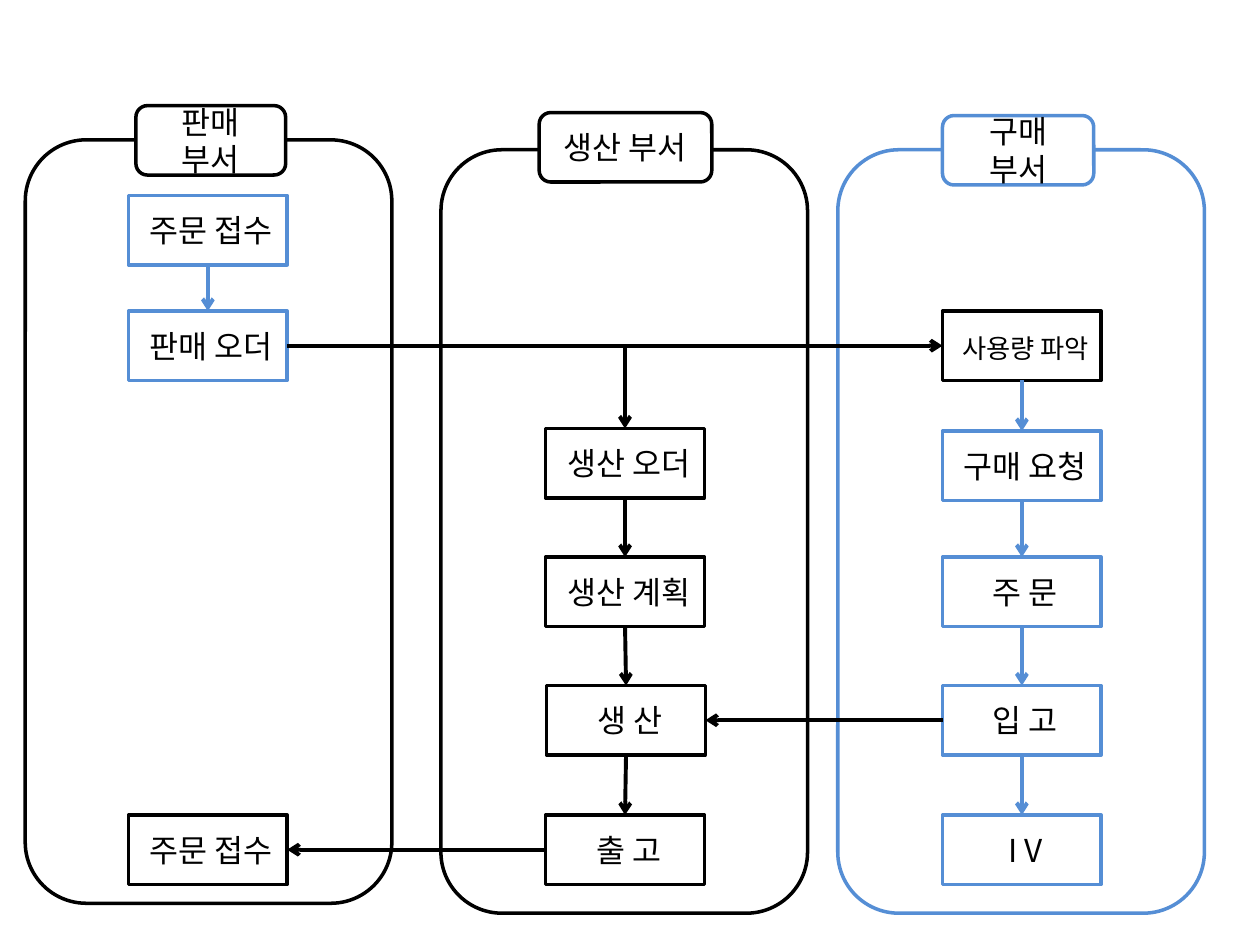
from lxml.etree import SubElement
from pptx import Presentation
from pptx.dml.color import RGBColor
from pptx.enum.shapes import MSO_CONNECTOR as Link, MSO_SHAPE as Shape
from pptx.enum.text import PP_ALIGN as Align
from pptx.oxml.ns import qn
from pptx.util import Cm, Pt

BLACK = RGBColor(0, 0, 0)
BLUE = RGBColor(0x55, 0x8E, 0xD5)
WHITE = RGBColor(255, 255, 255)
FONT = "Noto Sans CJK KR"
TOP, LEFT, BOTTOM, RIGHT = range(4)

BOX_W, BOX_H = 3.2, 1.4
SALES, MAKE, BUY = 2.59, 11, 19
ROWS = [3.94, 6.27, 8.64, 11.23, 13.82, 16.43]

# Lane left, lane top, tag left, tag top, tag width, name, colour
LANES = [
    (0.51, 2.82, 2.74, 2.13, 3.02, "판매 부서", BLACK),
    (8.89, 3.02, 10.87, 2.27, 3.48, "생산 부서", BLACK),
    (16.89, 3.02, 19, 2.33, 3.05, "구매 부서", BLUE),
]

# Key: left, top, text, colour
STEPS = {
    "receive": (SALES, ROWS[0], " 주문 접수", BLUE),
    "sale": (SALES, ROWS[1], " 판매 오더", BLUE),
    "close": (SALES, ROWS[5], " 주문 접수", BLACK),
    "order": (MAKE, ROWS[2], " 생산 오더", BLACK),
    "plan": (MAKE, ROWS[3], " 생산 계획", BLACK),
    "make": (MAKE + 0.02, ROWS[4], " 생 산", BLACK),
    "ship": (MAKE, ROWS[5], " 출 고", BLACK),
    "usage": (BUY, ROWS[1], " ", BLACK),
    "request": (BUY, ROWS[2] + 0.05, " 구매 요청", BLUE),
    "buy": (BUY, ROWS[3], " 주 문", BLUE),
    "stock": (BUY, ROWS[4], " 입 고", BLUE),
    "bill": (BUY, ROWS[5], " I V", BLUE),
}

CHAINS = [
    (BLUE, ["receive", "sale"]),
    (BLACK, ["order", "plan", "make", "ship"]),
    (BLUE, ["usage", "request", "buy", "stock", "bill"]),
]


def style(run, size):
    """Give a run its font, size and colour."""
    run.font.name, run.font.size = FONT, Pt(size)
    run.font.color.rgb = BLACK
    SubElement(run.font._element, qn("a:ea")).set("typeface", FONT)


def add_box(slide, kind, left, top, width, height, color, text=""):
    """Add an outlined white shape with centred text."""
    box = slide.shapes.add_shape(kind, Cm(left), Cm(top), Cm(width), Cm(height))
    box.shadow.inherit = False
    box.fill.solid()
    box.fill.fore_color.rgb = WHITE
    box.line.color.rgb, box.line.width = color, Pt(2)
    if text:
        para = box.text_frame.paragraphs[0]
        para.text, para.alignment = text, Align.CENTER
        style(para.runs[0], 18)
    return box


def add_arrow(slide, start, out, end, into, color, bent=False):
    """Join two boxes with an arrow, straight or with one corner."""
    kind = Link.ELBOW if bent else Link.STRAIGHT
    arrow = slide.shapes.add_connector(kind, 0, 0, 0, 0)
    arrow.begin_connect(start, out)
    arrow.end_connect(end, into)
    arrow.line.color.rgb, arrow.line.width = color, Pt(2.25)
    SubElement(arrow.line._get_or_add_ln(), qn("a:tailEnd")).set("type", "arrow")
    props = arrow._element.spPr
    SubElement(props, qn("a:effectLst"))
    if bent:
        props.find(qn("a:prstGeom")).set("prst", "bentConnector2")


def main():
    """Build the slide of the three departments."""
    deck = Presentation()
    deck.slide_width, deck.slide_height = Cm(25.4), Cm(19.05)
    slide = deck.slides.add_slide(deck.slide_layouts[6])

    for left, top, *_, color in LANES:
        add_box(slide, Shape.ROUNDED_RECTANGLE, left, top, 7.39, 15.39, color)

    steps = {
        key: add_box(slide, Shape.FLOWCHART_PROCESS, left, top, BOX_W, BOX_H, color, text)
        for key, (left, top, text, color) in STEPS.items()
    }
    detail = steps["usage"].text_frame.paragraphs[0].add_run()
    detail.text = "사용량 파악"
    style(detail, 15)

    for color, keys in CHAINS:
        for start, end in zip(keys, keys[1:]):
            add_arrow(slide, steps[start], BOTTOM, steps[end], TOP, color)
    add_arrow(slide, steps["sale"], RIGHT, steps["order"], TOP, BLACK, bent=True)
    add_arrow(slide, steps["sale"], RIGHT, steps["usage"], LEFT, BLACK)
    for start, end in [("stock", "make"), ("ship", "close")]:
        add_arrow(slide, steps[start], LEFT, steps[end], RIGHT, BLACK)

    for _, _, left, top, width, name, color in LANES:
        add_box(slide, Shape.ROUNDED_RECTANGLE, left, top, width, BOX_H, color, name)
    deck.save("out.pptx")


main()
